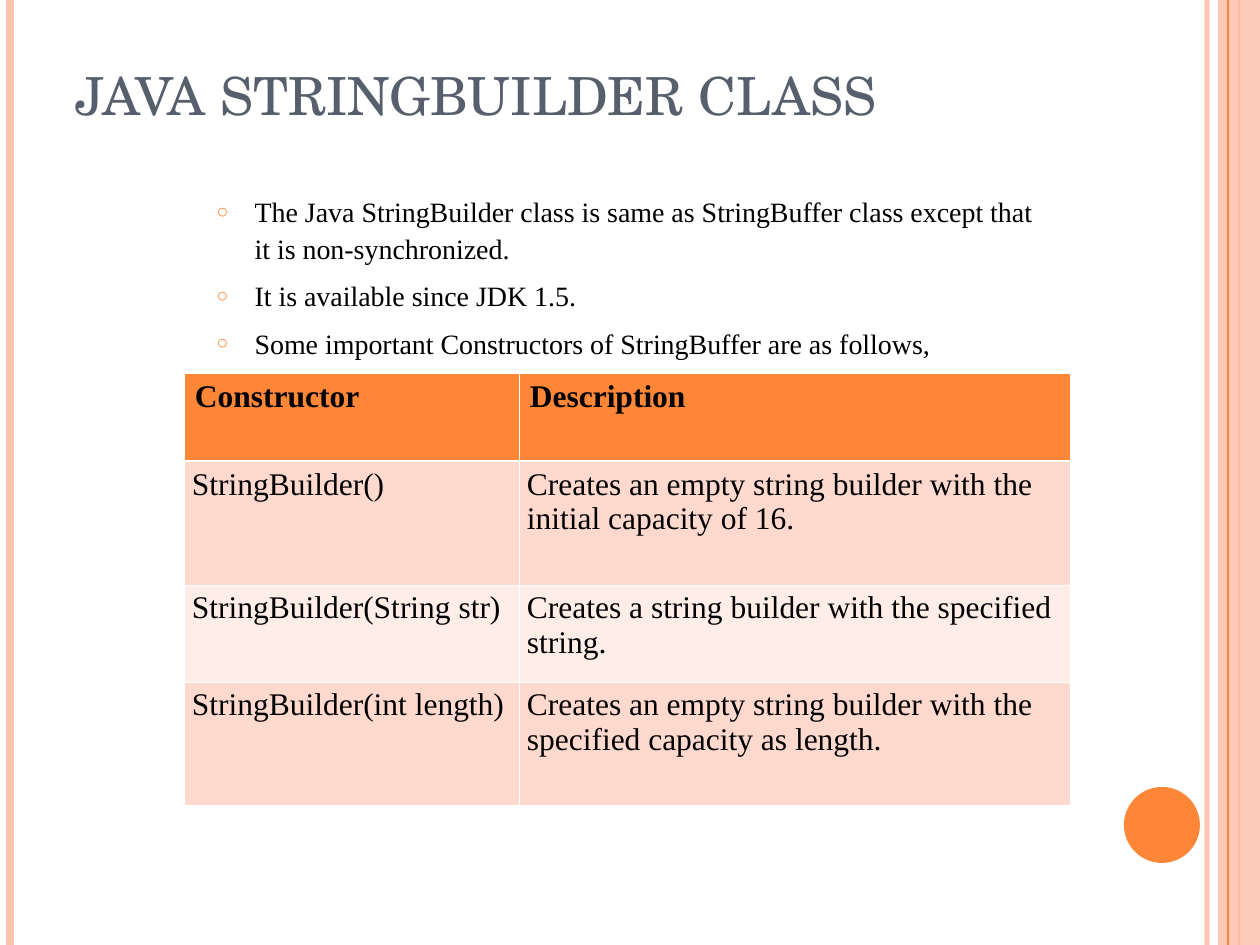
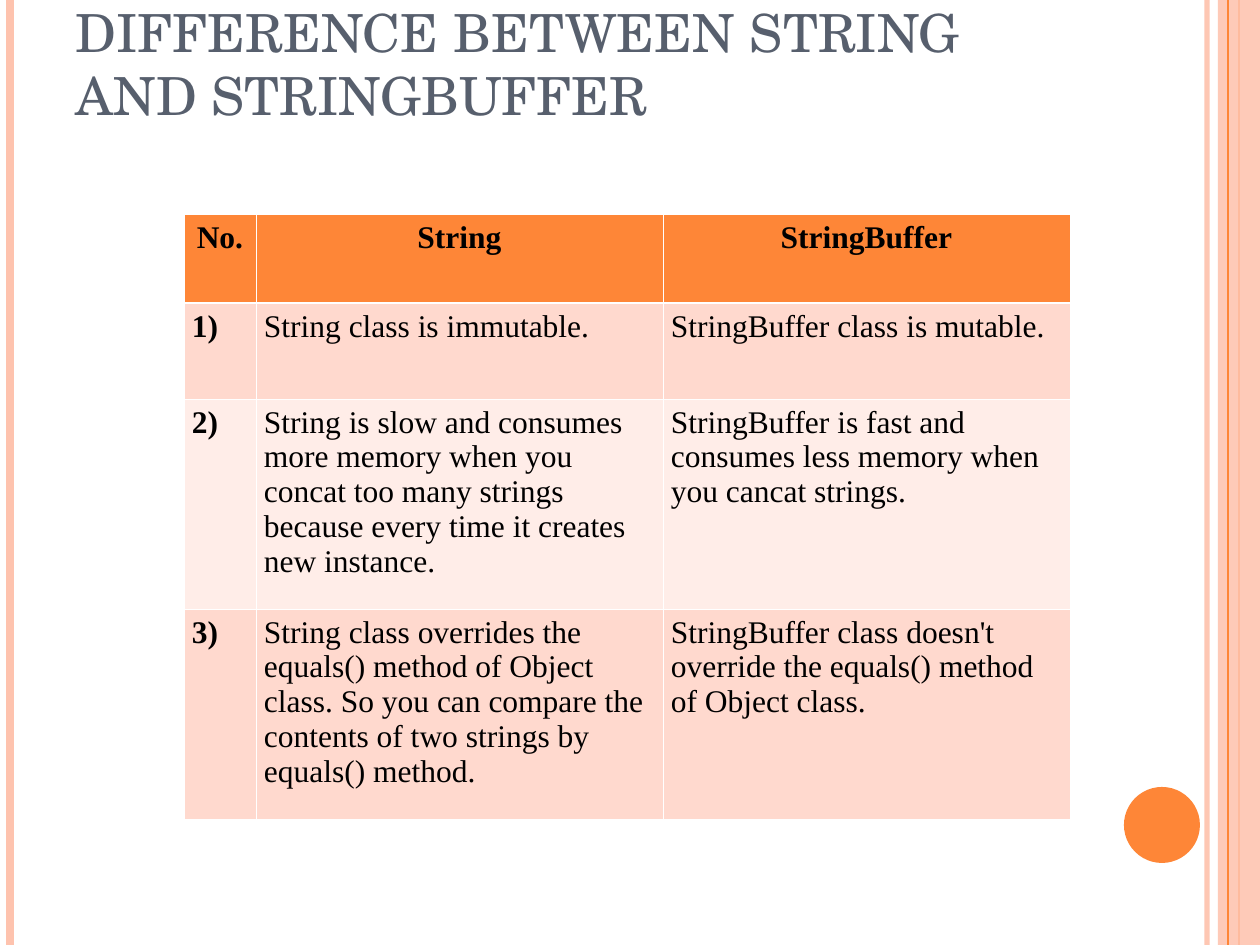
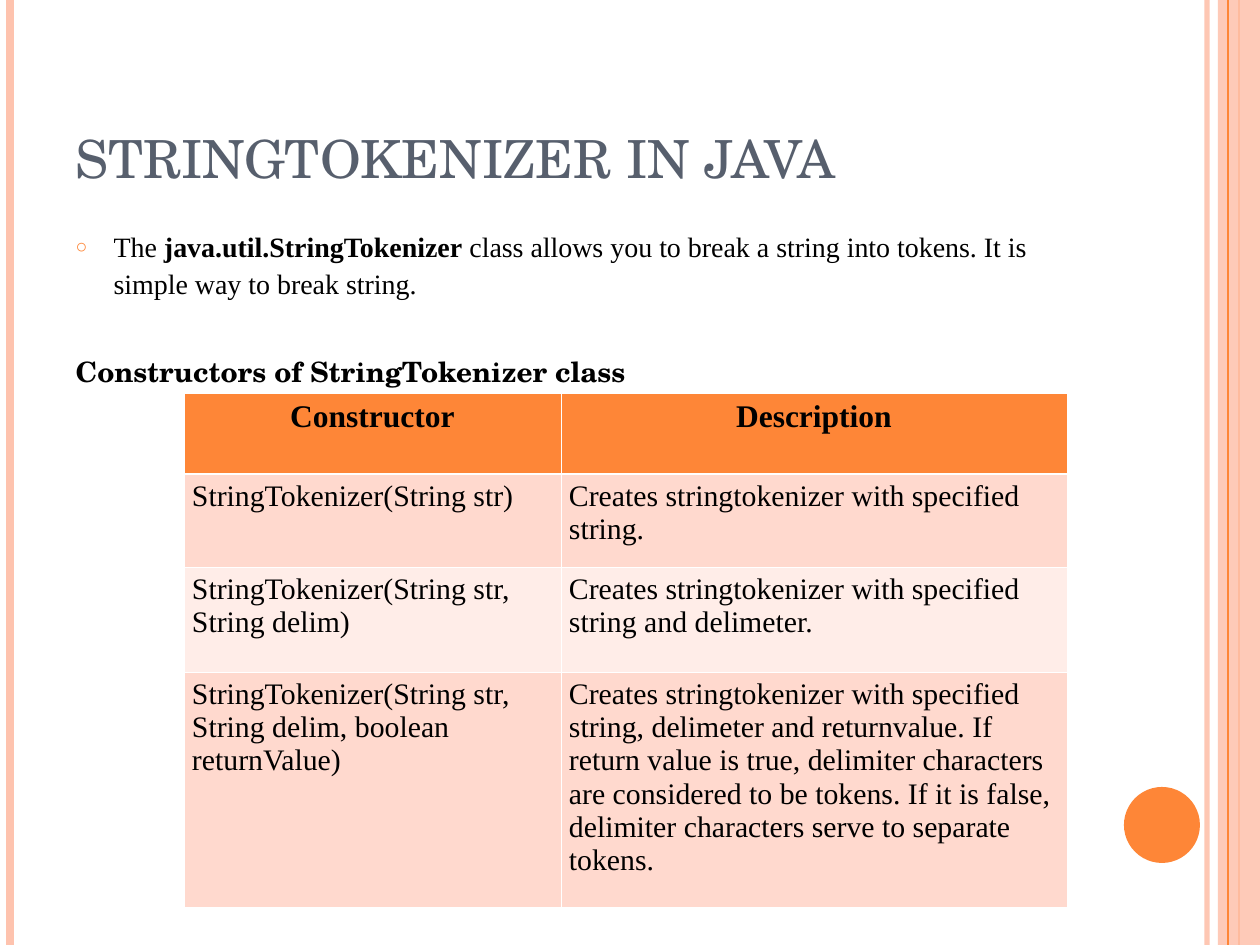
import dataclasses

import lxml.etree
import pptx
import pptx.dml.color
import pptx.enum.shapes
import pptx.enum.text
import pptx.oxml.ns
import pptx.util


@dataclasses.dataclass(frozen=True)
class Theme:
    accent: str = "FE8637"
    band: str = "FEC3AE"
    row_dark: str = "FFD9CE"
    row_light: str = "FFEDE8"
    border: str = "FFFFFF"
    title: str = "575F6D"
    text: str = "000000"
    heading_font: str = "TeX Gyre Schola"
    body_font: str = "Times New Roman"
    title_size: int = 30
    list_size: int = 16
    table_size: int = 18
    thin: float = 0.45
    thick: float = 1.47


THEME = Theme()
ALIGN = pptx.enum.text.PP_ALIGN
WIDTH, HEIGHT = 1260, 945
TITLE_BOX = (63, 38, 1029, 157)
TITLE_LINE = 63
TABLE_LEFT = 184
INDENT = 38

SLIDES = [
    {
        "title": "JAVA STRINGBUILDER CLASS",
        "title_raised": True,
        "body_box": (204, 185, 851, 592),
        "bullets": [
            "The Java StringBuilder class is same as StringBuffer class except that it is non-synchronized.",
            "It is available since JDK 1.5.",
            "Some important Constructors of StringBuffer are as follows,",
        ],
        "table": {
            "top": 373,
            "columns": [335, 551],
            "rows": [88, 124, 97, 123],
            "header_align": ALIGN.LEFT,
            "cells": [
                ["Constructor", "Description"],
                ["StringBuilder()", "Creates an empty string builder with the initial capacity of 16."],
                ["StringBuilder(String str)", "Creates a string builder with the specified string."],
                ["StringBuilder(int length)", "Creates an empty string builder with the specified capacity as length."],
            ],
        },
    },
    {
        "title": "DIFFERENCE BETWEEN STRING AND STRINGBUFFER",
        "title_raised": True,
        "table": {
            "top": 214,
            "columns": [72, 407, 407],
            "rows": [89, 96, 210, 210],
            "bold_first_column": True,
            "cells": [
                ["No.", "String", "StringBuffer"],
                ["1)", "String class is immutable.", "StringBuffer class is mutable."],
                [
                    "2)",
                    "String is slow and consumes more memory when you concat too many strings "
                    "because every time it creates new instance.",
                    "StringBuffer is fast and consumes less memory when you cancat strings.",
                ],
                [
                    "3)",
                    "String class overrides the equals() method of Object class. "
                    "So you can compare the contents of two strings by equals() method.",
                    "StringBuffer class doesn't override the equals() method of Object class.",
                ],
            ],
        },
    },
    {
        "title": "STRINGTOKENIZER IN JAVA",
        "body_box": (63, 220, 1029, 672),
        "bullets": [
            [
                ("The ", False),
                ("java.util.StringTokenizer", True),
                (" class allows you to break a string into tokens. It is simple way to break string.", False),
            ],
        ],
        "heading": "Constructors of StringTokenizer class",
        "table": {
            "top": 393,
            "columns": [377, 506],
            "rows": [81, 93, 105, 236],
            "text_size": 17,
            "cells": [
                ["Constructor", "Description"],
                ["StringTokenizer(String str)", "Creates stringtokenizer with specified string."],
                [
                    "StringTokenizer(String str, String delim)",
                    "Creates stringtokenizer with specified string and delimeter.",
                ],
                [
                    "StringTokenizer(String str, String delim, boolean returnValue)",
                    "Creates stringtokenizer with specified string, delimeter and returnvalue. "
                    "If return value is true, delimiter characters are considered to be tokens. "
                    "If it is false, delimiter characters serve to separate tokens.",
                ],
            ],
        },
    },
]


def px(value):
    return pptx.util.Emu(round(value * 914400 / 126))


def rgb(color):
    return pptx.dml.color.RGBColor.from_string(color)


def add_xml(parent, tag, **attributes):
    element = lxml.etree.SubElement(parent, pptx.oxml.ns.qn(tag))
    for name, value in attributes.items():
        element.set(name, str(value))
    return element


def write(paragraph, text, size=THEME.list_size, font=THEME.body_font, color=THEME.text,
          bold=False, align=ALIGN.LEFT, before=0, spacing=1.0):
    paragraph.alignment = align
    paragraph.space_before = pptx.util.Pt(before)
    paragraph.line_spacing = spacing
    parts = [(text, bold)] if isinstance(text, str) else text
    for part, part_bold in parts:
        run = paragraph.add_run()
        run.text = part
        run.font.size = pptx.util.Pt(size)
        run.font.name = font
        run.font.bold = part_bold
        run.font.color.rgb = rgb(color)


def place(shape, box):
    shape.left, shape.top, shape.width, shape.height = map(px, box)
    frame = shape.text_frame
    frame.word_wrap = True
    frame.auto_size = pptx.enum.text.MSO_AUTO_SIZE.NONE
    return frame


def set_alpha(element, percent):
    for color in element.iter(pptx.oxml.ns.qn("a:srgbClr")):
        add_xml(color, "a:alpha", val=percent * 1000)


def add_band_line(shapes, x, color, width, alpha=None):
    line = shapes.add_connector(pptx.enum.shapes.MSO_CONNECTOR.STRAIGHT, px(x), 0, px(x), px(HEIGHT))
    line.line.color.rgb = rgb(color)
    line.line.width = pptx.util.Pt(width)
    if alpha:
        set_alpha(line.element, alpha)
    add_xml(line.element.spPr, "a:effectLst")
    return line


def add_band_shape(shapes, kind, box, color, alpha=None):
    shape = shapes.add_shape(kind, *map(px, box))
    shape.shadow.inherit = False
    shape.fill.solid()
    shape.fill.fore_color.rgb = rgb(color)
    shape.line.fill.background()
    if alpha:
        set_alpha(shape.element, alpha)
    return shape


def decorate_master(presentation, slide):
    kinds = pptx.enum.shapes.MSO_SHAPE
    shapes = slide.shapes
    decorations = [
        add_band_line(shapes, 1207, THEME.band, 3, alpha=93),
        add_band_line(shapes, 10, THEME.band, 4.5),
        add_band_line(shapes, 1239, THEME.accent, 1.5),
        add_band_shape(shapes, kinds.RECTANGLE, (1218, 0, 42, HEIGHT), THEME.band, alpha=87),
        add_band_line(shapes, 1228, THEME.accent, 0.75),
        add_band_shape(shapes, kinds.OVAL, (1124, 787, 76, 76), THEME.accent),
    ]
    for number, shape in enumerate(decorations, start=100):
        shape.element.xpath(".//p:cNvPr")[0].set("id", str(number))
        presentation.slide_master.shapes.element.append(shape.element)


def add_title(slide, text, raised):
    frame = place(slide.shapes.title, TITLE_BOX)
    frame.vertical_anchor = pptx.enum.text.MSO_ANCHOR.BOTTOM
    frame.margin_bottom = px(6 + TITLE_LINE * raised)
    write(frame.paragraphs[0], text, size=THEME.title_size, font=THEME.heading_font, color=THEME.title)


def set_bullet(paragraph):
    properties = paragraph._p.get_or_add_pPr()
    properties.set("marL", str(px(INDENT)))
    properties.set("indent", str(-px(INDENT)))
    color = add_xml(properties, "a:buClr")
    add_xml(color, "a:srgbClr", val=THEME.accent)
    add_xml(properties, "a:buSzPct", val=70000)
    add_xml(properties, "a:buChar", char="○")


def clear_bullet(paragraph):
    properties = paragraph._p.get_or_add_pPr()
    properties.set("marL", "0")
    properties.set("indent", "0")
    add_xml(properties, "a:buNone")


def add_body(slide, content):
    frame = place(slide.placeholders[1], content["body_box"])
    frame.vertical_anchor = pptx.enum.text.MSO_ANCHOR.TOP
    for index, text in enumerate(content["bullets"]):
        paragraph = frame.add_paragraph() if index else frame.paragraphs[0]
        set_bullet(paragraph)
        write(paragraph, text, before=6 if index else 0, spacing=1.1)
    if "heading" in content:
        paragraph = frame.add_paragraph()
        clear_bullet(paragraph)
        write(paragraph, content["heading"], font=THEME.heading_font, bold=True, before=31)


def set_borders(cell, row):
    properties = cell._tc.get_or_add_tcPr()
    widths = {
        "L": THEME.thin,
        "R": THEME.thin,
        "T": THEME.thick if row == 1 else THEME.thin,
        "B": THEME.thick if row == 0 else THEME.thin,
    }
    for index, (side, width) in enumerate(widths.items()):
        line = add_xml(properties, f"a:ln{side}", w=pptx.util.Pt(width))
        fill = add_xml(line, "a:solidFill")
        add_xml(fill, "a:srgbClr", val=THEME.border)
        properties.insert(index, line)


def add_table(slide, content):
    columns, rows = content["columns"], content["rows"]
    table = slide.shapes.add_table(
        len(rows), len(columns), px(TABLE_LEFT), px(content["top"]), px(sum(columns)), px(sum(rows))
    ).table
    for column, width in zip(table.columns, columns):
        column.width = px(width)
    for row_index, (height, texts) in enumerate(zip(rows, content["cells"])):
        table.rows[row_index].height = px(height)
        header = row_index == 0
        fill = THEME.accent if header else (THEME.row_light, THEME.row_dark)[row_index % 2]
        for column_index, text in enumerate(texts):
            cell = table.cell(row_index, column_index)
            cell.fill.solid()
            cell.fill.fore_color.rgb = rgb(fill)
            cell.margin_left = cell.margin_right = px(11 if header else 8)
            cell.margin_top = cell.margin_bottom = px(6)
            set_borders(cell, row_index)
            write(
                cell.text_frame.paragraphs[0],
                text,
                size=THEME.table_size if header else content.get("text_size", THEME.table_size),
                bold=header or (column_index == 0 and content.get("bold_first_column", False)),
                align=content.get("header_align", ALIGN.CENTER) if header else ALIGN.LEFT,
            )


def main():
    presentation = pptx.Presentation()
    presentation.slide_width, presentation.slide_height = px(WIDTH), px(HEIGHT)
    for index, content in enumerate(SLIDES):
        layout = presentation.slide_layouts[1 if "bullets" in content else 5]
        slide = presentation.slides.add_slide(layout)
        if index == 0:
            decorate_master(presentation, slide)
        add_title(slide, content["title"], content.get("title_raised", False))
        if "bullets" in content:
            add_body(slide, content)
        add_table(slide, content["table"])
    presentation.save("out.pptx")


if __name__ == "__main__":
    main()
